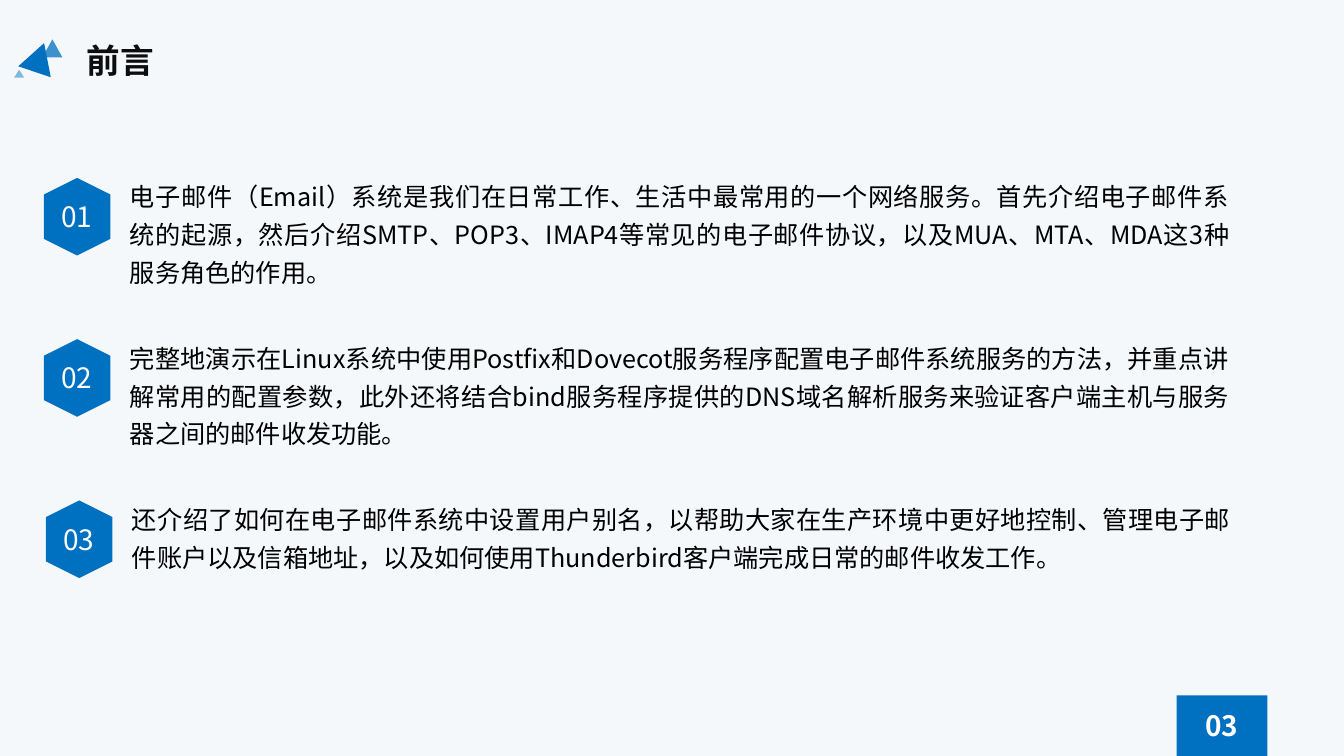
"""Builds the preface slide of a course on e-mail systems."""
from dataclasses import dataclass

from lxml.etree import SubElement
from pptx import Presentation
from pptx.dml.color import RGBColor
from pptx.enum.shapes import MSO_SHAPE
from pptx.enum.text import MSO_ANCHOR, MSO_AUTO_SIZE, PP_ALIGN
from pptx.oxml.ns import qn
from pptx.util import Inches, Pt

CELL = Inches(0.1)
FONT = "Noto Sans CJK SC"
BLUE, WHITE, BLACK = "0070C0", "FFFFFF", "000000"
TOPIC_STEP = 16


@dataclass(frozen=True)
class Area:
    """A rectangle in columns and rows of the grid."""
    column: float
    row: float
    columns: float
    rows: float

    def moved(self, right: float, down: float) -> "Area":
        """Return the same rectangle at another place."""
        return Area(self.column + right, self.row + down, self.columns, self.rows)

    def lengths(self) -> dict[str, int]:
        """Return the position and size by attribute name."""
        cells = {"left": self.column, "top": self.row, "width": self.columns, "height": self.rows}
        return {name: round(count * CELL) for name, count in cells.items()}


@dataclass(frozen=True)
class TextStyle:
    """The look of one piece of text."""
    size: float
    color: str
    bold: bool = False
    align: PP_ALIGN = PP_ALIGN.LEFT
    line_spacing: float = 1.0


@dataclass(frozen=True)
class Figure:
    """A filled preset shape."""
    kind: MSO_SHAPE
    area: Area
    rotation: float = 0
    opacity: int = 100


@dataclass(frozen=True)
class Topic:
    """A numbered paragraph with its rows of text height."""
    text: str
    rows: float
    indent: float = 0


HEADING = TextStyle(24, "0D0D0D", bold=True)
PAGE_NUMBER = TextStyle(20, WHITE, bold=True, align=PP_ALIGN.CENTER)
TOPIC_NUMBER = TextStyle(20, WHITE, align=PP_ALIGN.CENTER)
TOPIC_TEXT = TextStyle(18, BLACK, align=PP_ALIGN.JUSTIFY, line_spacing=1.25)

ORNAMENTS = (
    Figure(MSO_SHAPE.ISOSCELES_TRIANGLE, Area(4.2, 3.9, 2, 1.8), opacity=75),
    Figure(MSO_SHAPE.ISOSCELES_TRIANGLE, Area(2.2, 4.2, 3.4, 3), rotation=18.5),
    Figure(MSO_SHAPE.ISOSCELES_TRIANGLE, Area(1.4, 6.9, 1, 0.8), opacity=47),
    Figure(MSO_SHAPE.RECTANGLE, Area(116.7, 69, 9, 6)),
)

TOPICS = (
    Topic("电子邮件（Email）系统是我们在日常工作、生活中最常用的一个网络服务。"
          "首先介绍电子邮件系统的起源，然后介绍SMTP、POP3、IMAP4等常见的电子邮件协议，"
          "以及MUA、MTA、MDA这3种服务角色的作用。", 12),
    Topic("完整地演示在Linux系统中使用Postfix和Dovecot服务程序配置电子邮件系统服务的方法，"
          "并重点讲解常用的配置参数，此外还将结合bind服务程序提供的DNS域名解析服务"
          "来验证客户端主机与服务器之间的邮件收发功能。", 12),
    Topic("还介绍了如何在电子邮件系统中设置用户别名，以帮助大家在生产环境中更好地控制、"
          "管理电子邮件账户以及信箱地址，以及如何使用Thunderbird客户端完成日常的邮件收发工作。",
          8.2, indent=0.2),
)


def rgb(color: str) -> RGBColor:
    """Turn a hex string into a colour."""
    return RGBColor.from_string(color)


def assign(target, values: dict) -> None:
    """Set every attribute named in the values."""
    for name, value in values.items():
        setattr(target, name, value)


def write(holder, area: Area, text: str, style: TextStyle) -> None:
    """Place a text holder and fill it with one styled paragraph."""
    assign(holder, area.lengths())
    frame = holder.text_frame
    assign(frame, {"word_wrap": True, "vertical_anchor": MSO_ANCHOR.TOP,
                   "auto_size": MSO_AUTO_SIZE.SHAPE_TO_FIT_TEXT})
    paragraph = frame.paragraphs[0]
    assign(paragraph, {"alignment": style.align, "line_spacing": style.line_spacing,
                       "space_before": Pt(0)})
    run = paragraph.add_run()
    run.text = text
    assign(run.font, {"name": FONT, "size": Pt(style.size), "bold": style.bold})
    run.font.color.rgb = rgb(style.color)
    SubElement(run.font._element, qn("a:ea"), typeface=FONT)


def add_text(slide, area: Area, text: str, style: TextStyle) -> None:
    """Add a text box."""
    write(slide.shapes.add_textbox(0, 0, CELL, CELL), area, text, style)


def add_figure(slide, figure: Figure) -> None:
    """Add a blue preset shape."""
    shape = slide.shapes.add_shape(figure.kind, **figure.area.lengths())
    shape.rotation = figure.rotation
    shape.shadow.inherit = False
    shape.fill.solid()
    shape.fill.fore_color.rgb = rgb(BLUE)
    shape.line.fill.background()
    if figure.opacity < 100:
        color = shape._element.spPr.find(qn("a:solidFill")).find(qn("a:srgbClr"))
        SubElement(color, qn("a:alpha"), val=str(figure.opacity * 1000))


def add_topic(slide, index: int, topic: Topic) -> None:
    """Add a numbered hexagon and the paragraph beside it."""
    right, down = topic.indent, index * TOPIC_STEP
    hexagon = Area(3.8, 18.2, 7.7, 6.6).moved(right, down)
    add_figure(slide, Figure(MSO_SHAPE.HEXAGON, hexagon, rotation=90))
    number = Area(4.5, 19.3, 6.2, 4.4).moved(right, down)
    add_text(slide, number, f"{index + 1:02}", TOPIC_NUMBER)
    body = Area(11.9, 16.8, 111, topic.rows).moved(right, down)
    add_text(slide, body, topic.text, TOPIC_TEXT)


def main() -> None:
    """Build the slide and save it."""
    presentation = Presentation()
    assign(presentation, {"slide_width": Inches(13.33), "slide_height": Inches(7.5)})
    slide = presentation.slides.add_slide(presentation.slide_layouts[5])
    slide.background.fill.solid()
    slide.background.fill.fore_color.rgb = rgb("F5F8FB")
    write(slide.shapes.title, Area(7.6, 3.5, 25.3, 5), "前言", HEADING)
    for ornament in ORNAMENTS:
        add_figure(slide, ornament)
    add_text(slide, Area(118, 69.8, 6.4, 4.4), "03", PAGE_NUMBER)
    for index, topic in enumerate(TOPICS):
        add_topic(slide, index, topic)
    presentation.save("out.pptx")


if __name__ == "__main__":
    main()
